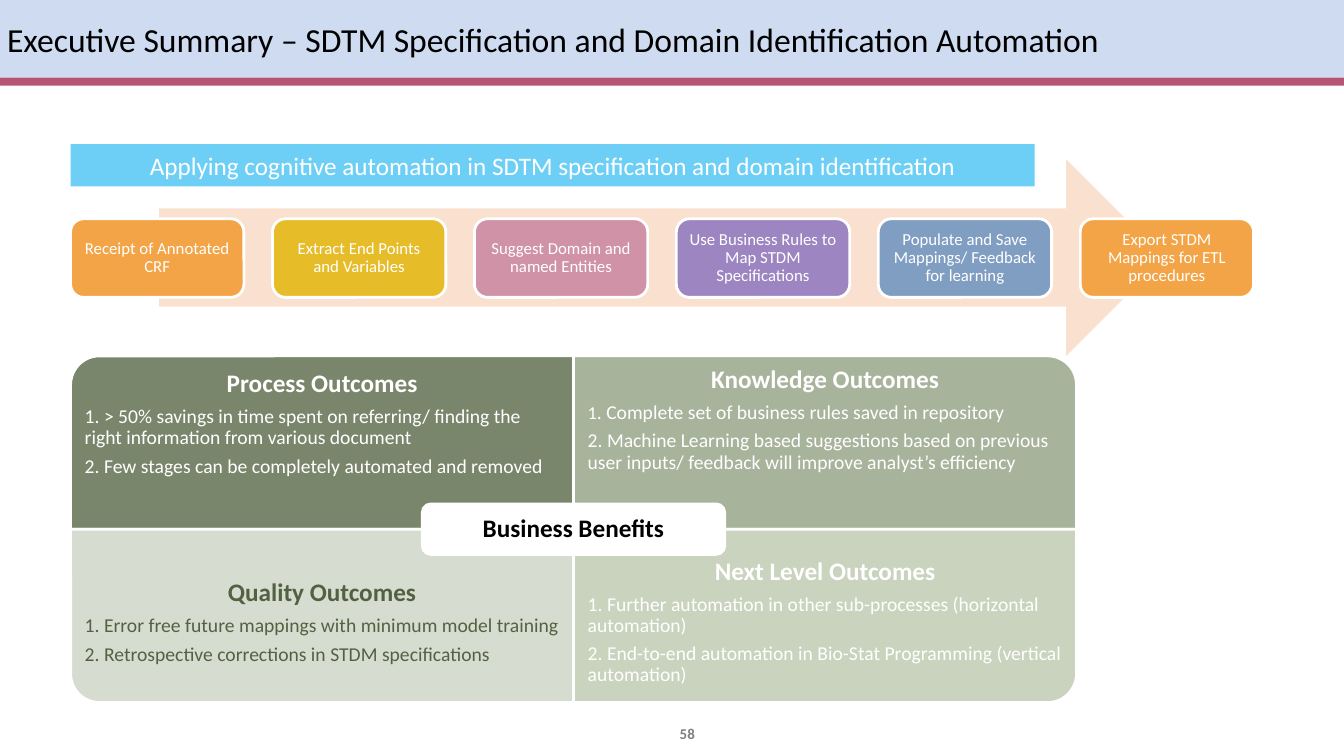
import pptx
import pptx.util
import pptx.dml.color
import pptx.enum.shapes
import pptx.enum.text
from dataclasses import dataclass

SHAPE = pptx.enum.shapes.MSO_SHAPE
ALIGN = pptx.enum.text.PP_ALIGN
ANCHOR = pptx.enum.text.MSO_ANCHOR
Pt = pptx.util.Pt


@dataclass(frozen=True)
class Theme:
    font: str = "Calibri"
    white: str = "FFFFFF"
    black: str = "000000"
    grey: str = "808080"
    title_band: str = "CEDBF0"
    title_rule: str = "B55475"
    banner: str = "6DCFF6"
    arrow: str = "FAE0CF"
    dark_green: str = "536142"
    steps: tuple = ("F3A447", "E7BC29", "D092A7", "9C85C0", "809EC2", "F3A447")
    quadrants: tuple = ("7A866C", "A8B39C", "D6DCCF", "C9D3BE")
    title_size: float = 24
    heading_size: float = 18
    body_size: float = 14
    numeral_size: float = 13
    step_size: float = 12
    page_size: float = 10.7
    outline: float = 2


theme = Theme()
deck = pptx.Presentation()
deck.slide_width = pptx.util.Inches(13.33)
deck.slide_height = pptx.util.Inches(7.5)
column = deck.slide_width / 40
row = deck.slide_height / 30
slide = deck.slides.add_slide(deck.slide_layouts[5])


def add_block(kind, left, top, width, height, fill, line=None):
    """Add a preset shape; lengths are in grid columns and rows."""
    block = slide.shapes.add_shape(
        kind, round(left * column), round(top * row),
        round(width * column), round(height * row))
    block.shadow.inherit = False
    block.fill.solid()
    block.fill.fore_color.rgb = pptx.dml.color.RGBColor.from_string(fill)
    if line:
        block.line.color.rgb = pptx.dml.color.RGBColor.from_string(line)
        block.line.width = Pt(theme.outline)
    else:
        block.line.fill.background()
    return block


def write(shape, paragraphs, color, inset=0.1, anchor=ANCHOR.MIDDLE, spacing=0.9):
    """Fill a shape with paragraphs of (alignment, bold, [(text, size), ...])."""
    frame = shape.text_frame
    frame.word_wrap = True
    frame.auto_size = pptx.enum.text.MSO_AUTO_SIZE.NONE
    frame.vertical_anchor = anchor
    frame.margin_left = frame.margin_right = pptx.util.Inches(inset)
    frame.margin_top = frame.margin_bottom = pptx.util.Inches(min(inset, 0.05))
    for index, (alignment, bold, runs) in enumerate(paragraphs):
        paragraph = frame.add_paragraph() if index else frame.paragraphs[0]
        paragraph.alignment = alignment
        paragraph.line_spacing = spacing
        if index < len(paragraphs) - 1:
            paragraph.space_after = Pt(0.35 * runs[-1][1])
        for text, size in runs:
            run = paragraph.add_run()
            run.text = text
            run.font.name = theme.font
            run.font.size = Pt(size)
            run.font.bold = bold
            run.font.color.rgb = pptx.dml.color.RGBColor.from_string(color)


# Title band, rule and page number
title = slide.shapes.title
title.left, title.top = 0, 0
title.width, title.height = deck.slide_width, round(3.08 * row)
title.fill.solid()
title.fill.fore_color.rgb = pptx.dml.color.RGBColor.from_string(theme.title_band)
write(title, [(ALIGN.LEFT, False, [(
    "Executive Summary – SDTM Specification and Domain Identification Automation",
    theme.title_size)])], theme.black, inset=0.07, spacing=1)
add_block(SHAPE.RECTANGLE, 0, 3.08, 40, 0.32, theme.title_rule)
page_number = slide.shapes.add_textbox(
    round(19 * column), round(28.32 * row), round(2.91 * column), round(1.56 * row))
write(page_number, [(ALIGN.CENTER, True, [("58", theme.page_size)])],
      theme.grey, spacing=1)

# Process arrow and its steps
left_edge = 2.1
add_block(SHAPE.RIGHT_ARROW, 4.74, 6.32, 29.92, 7.8, theme.arrow)
steps = [
    "Receipt of Annotated CRF",
    "Extract End Points and Variables",
    "Suggest Domain and named Entities",
    "Use Business Rules to Map STDM Specifications",
    "Populate and Save Mappings/ Feedback for learning",
    "Export STDM Mappings for ETL procedures",
]
step_pitch = 6.01
for position, (step, color) in enumerate(zip(steps, theme.steps)):
    step_box = add_block(SHAPE.ROUNDED_RECTANGLE, left_edge + position * step_pitch,
                         8.68, 5.16, 3.12, color, theme.white)
    write(step_box, [(ALIGN.CENTER, False, [(step, theme.step_size)])],
          theme.white, inset=0.09)

banner = add_block(SHAPE.RECTANGLE, left_edge, 5.72, 28.69, 1.68, theme.banner)
write(banner, [(ALIGN.CENTER, False, [(
    "Applying cognitive automation in SDTM specification and domain identification",
    theme.heading_size)])], theme.white, spacing=1)

# Benefit quadrants: rotation, text offset in rows, text colour, heading, points
body = theme.body_size
quadrants = [
    (270, 0.6, theme.white, "Process Outcomes", [
        [("1. > 50% savings in time spent on referring/ finding the right "
          "information from various document", body)],
        [("2. Few stages can be completely automated and removed", body)]]),
    (0, 0.44, theme.white, "Knowledge Outcomes", [
        [("1", theme.numeral_size),
         (". Complete set of business rules saved in repository", body)],
        [("2. Machine Learning based suggestions based on previous user inputs/ "
          "feedback will improve analyst’s efficiency", body)]]),
    (180, 2.02, theme.dark_green, "Quality Outcomes", [
        [("1. Error free future mappings with minimum model training", body)],
        [("2. Retrospective corrections in STDM specifications", body)]]),
    (90, 1.16, theme.white, "Next Level Outcomes", [
        [("1. Further automation in other sub-processes (horizontal automation)", body)],
        [("2. End-to-end automation in Bio-Stat Programming (vertical automation)",
          body)]]),
]
quadrant_top, quadrant_width, quadrant_height = 14.12, 14.97, 6.88
for index, (rotation, offset, color, heading, points) in enumerate(quadrants):
    left = left_edge + index % 2 * quadrant_width
    top = quadrant_top + index // 2 * quadrant_height
    panel = add_block(SHAPE.ROUND_1_RECTANGLE, left, top, quadrant_width,
                      quadrant_height, theme.quadrants[index], theme.white)
    if rotation % 180:
        shift = (panel.width - panel.height) // 2
        panel.left, panel.top = panel.left + shift, panel.top - shift
        panel.width, panel.height = panel.height, panel.width
    panel.rotation = rotation

    outcomes = slide.shapes.add_textbox(
        round(left * column), round((top + offset - 0.2) * row),
        round(quadrant_width * column), round((quadrant_height - offset) * row))
    paragraphs = [(ALIGN.CENTER, True, [(heading, theme.heading_size)])]
    paragraphs += [(ALIGN.LEFT, False, runs) for runs in points]
    write(outcomes, paragraphs, color, inset=0.14, anchor=ANCHOR.TOP)

hub_width, hub_height = 9, 2
hub = add_block(SHAPE.ROUNDED_RECTANGLE, left_edge + quadrant_width - hub_width / 2,
                quadrant_top + quadrant_height - hub_height / 2,
                hub_width, hub_height, theme.white, theme.white)
write(hub, [(ALIGN.CENTER, True, [("Business Benefits", theme.heading_size)])],
      theme.black)

deck.save("out.pptx")
